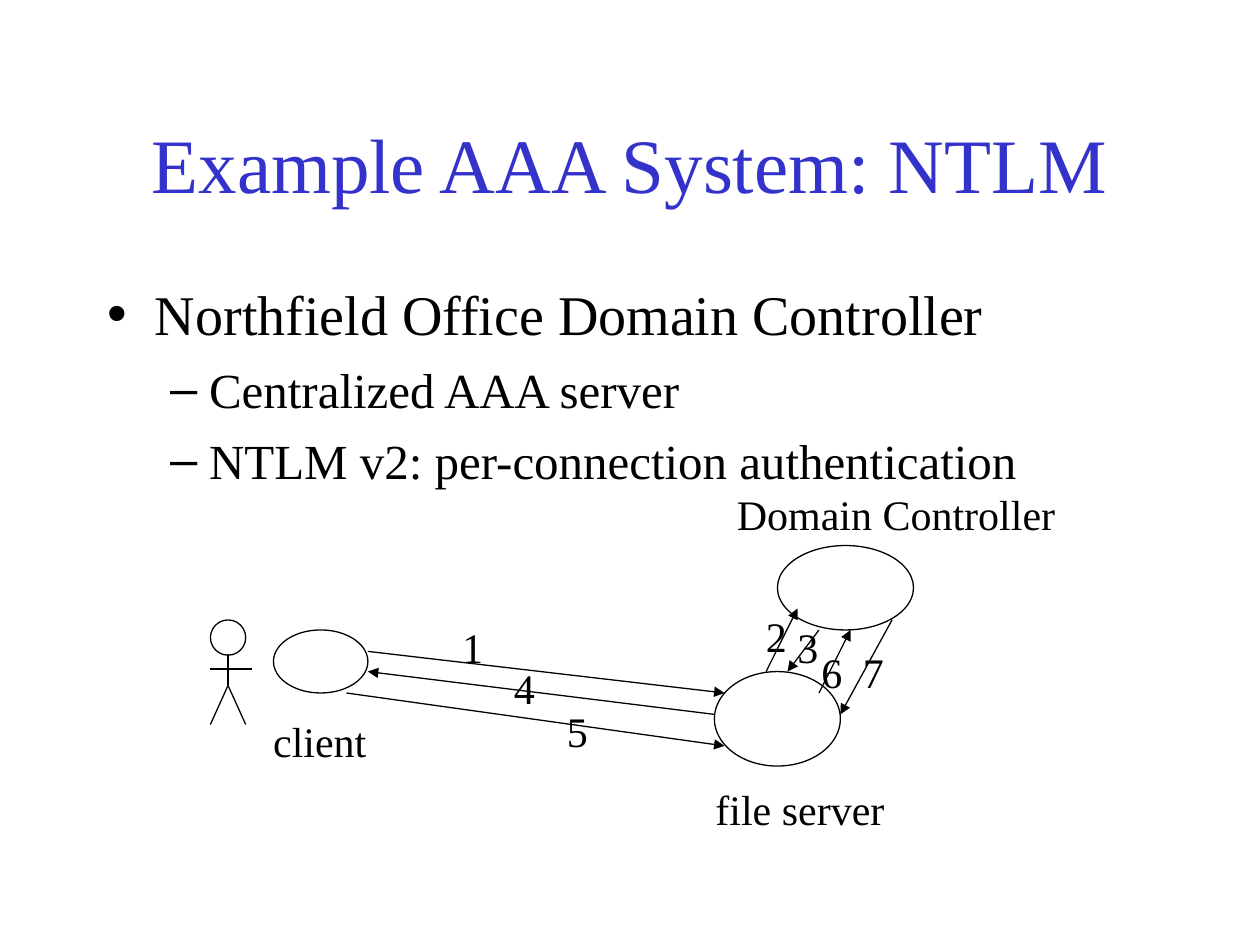
import pptx
import pptx.util
import pptx.dml.color
import pptx.enum.shapes
import pptx.enum.text
import pptx.oxml.ns
from lxml import etree

Inches = pptx.util.Inches
Pt = pptx.util.Pt
SHAPE = pptx.enum.shapes.MSO_SHAPE
TEXT = pptx.enum.text
FONT = "Times New Roman"
BLACK, BLUE = "000000", "3333CC"


def color(value):
    return pptx.dml.color.RGBColor.from_string(value)


def add_xml(parent, tag, **attrs):
    return etree.SubElement(parent, pptx.oxml.ns.qn(tag), attrs)


def place(s, box):
    s.left, s.top, s.width, s.height = (Inches(v) for v in box)


def add_run(p, text, size, hex_color=BLACK):
    r = p.add_run()
    r.text = text
    for name, value in {"name": FONT, "size": Pt(size)}.items():
        setattr(r.font, name, value)
    r.font.color.rgb = color(hex_color)


def set_frame(tf, **values):
    for name, value in values.items():
        setattr(tf, name, value)


def add_ellipse(shapes, x, y, w, h):
    s = shapes.add_shape(SHAPE.OVAL, *map(Inches, (x, y, w, h)))
    s.shadow.inherit = False
    s.fill.background()
    s.line.color.rgb = color(BLACK)
    s.line.width = Pt(0.75)


def add_line(shapes, start, end, arrow=False):
    s = shapes.add_connector(pptx.enum.shapes.MSO_CONNECTOR.STRAIGHT,
                             *map(Inches, start + end))
    s.line.color.rgb = color(BLACK)
    s.line.width = Pt(0.75)
    if arrow:
        add_xml(s._element.spPr.get_or_add_ln(), "a:tailEnd", type="triangle")
    add_xml(s._element.spPr, "a:effectLst")


def add_label(shapes, text, x, y, w):
    s = shapes.add_textbox(*map(Inches, (x, y, w, 0.5)))
    set_frame(s.text_frame, word_wrap=False,
              auto_size=TEXT.MSO_AUTO_SIZE.SHAPE_TO_FIT_TEXT)
    add_run(s.text_frame.paragraphs[0], text, 24)


def fill_title(s, box, text):
    place(s, box)
    set_frame(s.text_frame, word_wrap=True, auto_size=TEXT.MSO_AUTO_SIZE.NONE,
              vertical_anchor=TEXT.MSO_ANCHOR.MIDDLE)
    p = s.text_frame.paragraphs[0]
    p.alignment = TEXT.PP_ALIGN.CENTER
    add_run(p, text, 44, BLUE)


def fill_body(s, box, items):
    # bullet, size, space before, text margin, hanging indent for each level
    levels = [("•", 32, 8, 0.38, -0.38), ("–", 28, 7, 0.81, -0.31)]
    place(s, box)
    tf = s.text_frame
    set_frame(tf, word_wrap=True, auto_size=TEXT.MSO_AUTO_SIZE.NONE,
              vertical_anchor=TEXT.MSO_ANCHOR.TOP)
    for i, (level, text) in enumerate(items):
        bullet, size, space, margin, indent = levels[level]
        p = tf.add_paragraph() if i else tf.paragraphs[0]
        p.level = level
        pPr = p._p.get_or_add_pPr()
        pPr.set("marL", str(Inches(margin)))
        pPr.set("indent", str(Inches(indent)))
        add_xml(add_xml(pPr, "a:buClr"), "a:srgbClr", val=BLACK)
        add_xml(pPr, "a:buChar", char=bullet)
        p.space_before = Pt(space if i else 0)
        add_run(p, text, size)


def draw_user(shapes, x, y):
    """Stick figure with its top left corner at x, y."""
    g = shapes.add_group_shape().shapes
    middle, hip, foot = x + 0.14, y + 0.52, y + 0.83
    add_ellipse(g, x, y, 0.28, 0.28)
    add_line(g, (x, y + 0.39), (x + 0.33, y + 0.39))
    add_line(g, (middle, y + 0.27), (middle, hip))
    for foot_x in (x, x + 0.28):
        add_line(g, (middle, hip), (foot_x, foot))


def draw_diagram(shapes, left, top):
    """Message flow; all places are relative to left, top."""
    def at(x, y):
        return left + x, top + y

    draw_user(shapes, *at(0, 1.09))

    # Machines: name, ellipse, label place and width
    machines = [
        ("client", (0.5, 1.17), (0.75, 0.5), (0.4, 1.8), 0.94),
        ("file server", (4, 1.5), (1, 0.75), (3.91, 2.34), 1.55),
        ("Domain Controller", (4.5, 0.5), (1.08, 0.67), (4.08, 0), 2.8),
    ]
    for name, corner, size, label, width in machines:
        add_ellipse(shapes, *at(*corner), *size)
        add_label(shapes, name, *at(*label), width)

    # Messages in order: start, end, number place
    messages = [
        ((1.25, 1.34), (4.08, 1.67), (1.9, 1.05)),
        ((4.41, 1.5), (4.66, 1), (4.31, 0.97)),
        ((4.83, 1.17), (4.58, 1.5), (4.56, 1.05)),
        ((4, 1.84), (1.25, 1.5), (2.31, 1.38)),
        ((1.08, 1.67), (4.08, 2.09), (2.73, 1.72)),
        ((4.83, 1.67), (5.08, 1.17), (4.75, 1.25)),
        ((5.41, 1.09), (5, 1.84), (5.08, 1.25)),
    ]
    for number, (start, end, label) in enumerate(messages, 1):
        add_line(shapes, at(*start), at(*end), arrow=True)
        add_label(shapes, str(number), *at(*label), 0.36)


def main():
    prs = pptx.Presentation()
    prs.slide_width, prs.slide_height = Inches(10), Inches(7.5)
    slide = prs.slides.add_slide(prs.slide_layouts[1])
    fill_title(slide.shapes.title, (0.75, 0.67, 8.5, 1.25),
               "Example AAA System: NTLM")
    fill_body(slide.placeholders[1], (0.75, 2.17, 8.5, 5.33), [
        (0, "Northfield Office Domain Controller"),
        (1, "Centralized AAA server"),
        (1, "NTLM v2: per-connection authentication"),
    ])
    draw_diagram(slide.shapes, 1.67, 3.83)
    prs.save("out.pptx")


if __name__ == "__main__":
    main()
